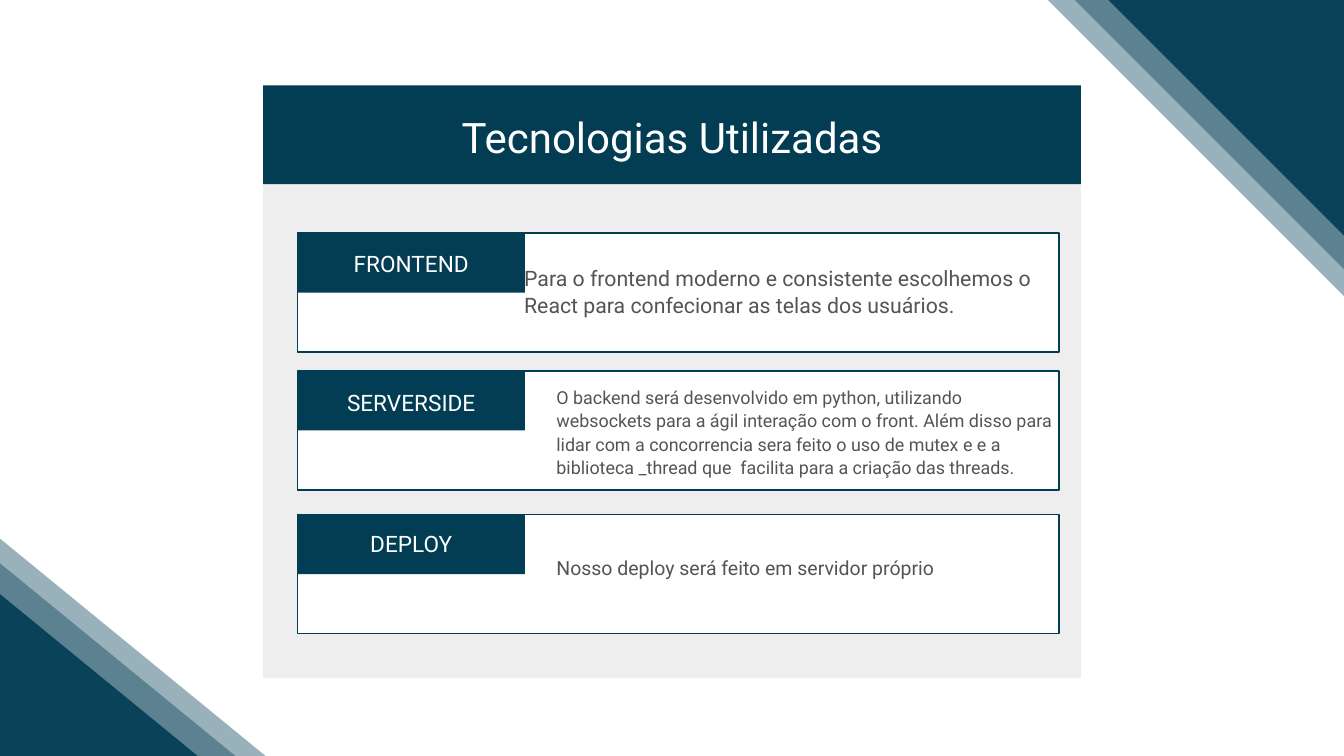
from lxml.etree import SubElement
from pptx import Presentation
from pptx.dml.color import RGBColor
from pptx.enum.shapes import MSO_SHAPE
from pptx.enum.text import PP_ALIGN
from pptx.oxml.ns import qn
from pptx.util import Inches, Pt

NAVY = RGBColor(0x02, 0x3D, 0x54)
GRAY = RGBColor(0x54, 0x54, 0x54)
PALE = RGBColor(0xEE, 0xEE, 0xEE)
WHITE = RGBColor(0xFF, 0xFF, 0xFF)

TITLE = "Tecnologias Utilizadas"
SECTIONS = [
    {"label": "FRONTEND", "top": 3.47, "label_drop": 0.22,
     "body": "Para o frontend moderno e consistente escolhemos o React "
             "para confecionar as telas dos usuários.",
     "body_at": (7.8, 3.91, 7.95, 0.81), "size": 22.8, "leading": 29.6},
    {"label": "SERVERSIDE", "top": 5.52, "label_drop": 0.23,
     "body": "O backend será desenvolvido em python, utilizando websockets "
             "para a ágil interação com o front. Além disso para lidar com a "
             "concorrencia sera feito o uso de mutex e e a biblioteca _thread "
             "que  facilita para a criação das threads.",
     "body_at": (8.28, 5.73, 7.47, 1.35), "size": 19.2, "leading": 24.9},
    {"label": "DEPLOY", "top": 7.66, "label_drop": 0.2,
     "body": "Nosso deploy será feito em servidor próprio",
     "body_at": (8.28, 8.25, 7.32, 0.37), "size": 20.9, "leading": 27.2},
]
BANDS = [
    {"shift": 0, "opacity": 40},
    {"shift": 0.4, "opacity": 40},
    {"shift": 0.9, "opacity": 90},
]

SLIDE_W, SLIDE_H = 20, 11.25
PANEL_W, PANEL_TOP, HEADER_H, PANEL_H = 12.17, 1.27, 1.47, 7.35
PANEL_LEFT = (SLIDE_W - PANEL_W) / 2
CARD_LEFT, CARD_W, CARD_H = 4.43, 11.33, 1.77
LABEL_W, LABEL_H = 3.38, CARD_H / 2
LABEL_INSET = 0.28
BAND_W, BAND_H = 6.4, 9.48

deck = Presentation()
deck.slide_width, deck.slide_height = Inches(SLIDE_W), Inches(SLIDE_H)
slide = deck.slides.add_slide(deck.slide_layouts[6])


def add_block(at, fill, outline=None, rotation=0, opacity=100):
    block = slide.shapes.add_shape(MSO_SHAPE.RECTANGLE, *map(Inches, at))
    block.shadow.inherit = False
    block.rotation = rotation
    block.fill.solid()
    block.fill.fore_color.rgb = fill
    if outline is None:
        block.line.fill.background()
    else:
        block.line.color.rgb = outline
        block.line.width = Pt(1.5)
    if opacity < 100:
        color = block.element.spPr.find(qn("a:solidFill"))[0]
        SubElement(color, qn("a:alpha"), val=str(opacity * 1000))


def add_text(at, words, size, leading, color, align=PP_ALIGN.LEFT):
    frame = slide.shapes.add_textbox(*map(Inches, at)).text_frame
    frame_format = {"word_wrap": True, "margin_left": 0, "margin_right": 0,
                    "margin_top": 0, "margin_bottom": 0}
    for name, value in frame_format.items():
        setattr(frame, name, value)
    paragraph = frame.paragraphs[0]
    paragraph.alignment = align
    paragraph.line_spacing = Pt(leading)
    run = paragraph.add_run()
    run.text = words
    for name, value in {"name": "Roboto", "size": Pt(size)}.items():
        setattr(run.font, name, value)
    run.font.color.rgb = color


add_block((PANEL_LEFT, PANEL_TOP + HEADER_H, PANEL_W, PANEL_H), PALE)
for section in SECTIONS:
    add_block((CARD_LEFT, section["top"], CARD_W, CARD_H), WHITE, outline=NAVY)
for section in SECTIONS:
    add_block((CARD_LEFT, section["top"], LABEL_W, LABEL_H), NAVY)
add_block((PANEL_LEFT, PANEL_TOP, PANEL_W, HEADER_H), NAVY)

add_text((2.25, 1.59, 15.5, 0.79), TITLE, 45, 58.5, WHITE, PP_ALIGN.CENTER)
for section in SECTIONS:
    label_at = (CARD_LEFT + LABEL_INSET, section["top"] + section["label_drop"],
                LABEL_W - 2 * LABEL_INSET, 0.42)
    add_text(label_at, section["label"], 24.2, 31.4, WHITE, PP_ALIGN.CENTER)
    add_text(section["body_at"], section["body"], section["size"],
             section["leading"], GRAY)

for band in BANDS:
    shift = band["shift"]
    add_block((16.33, -5.33 - shift, BAND_W, BAND_H), NAVY,
              rotation=315, opacity=band["opacity"])
    add_block((-3.25 + shift / 10, 7.37 + shift, BAND_W, BAND_H), NAVY,
              rotation=129.3, opacity=band["opacity"])

deck.save("out.pptx")
